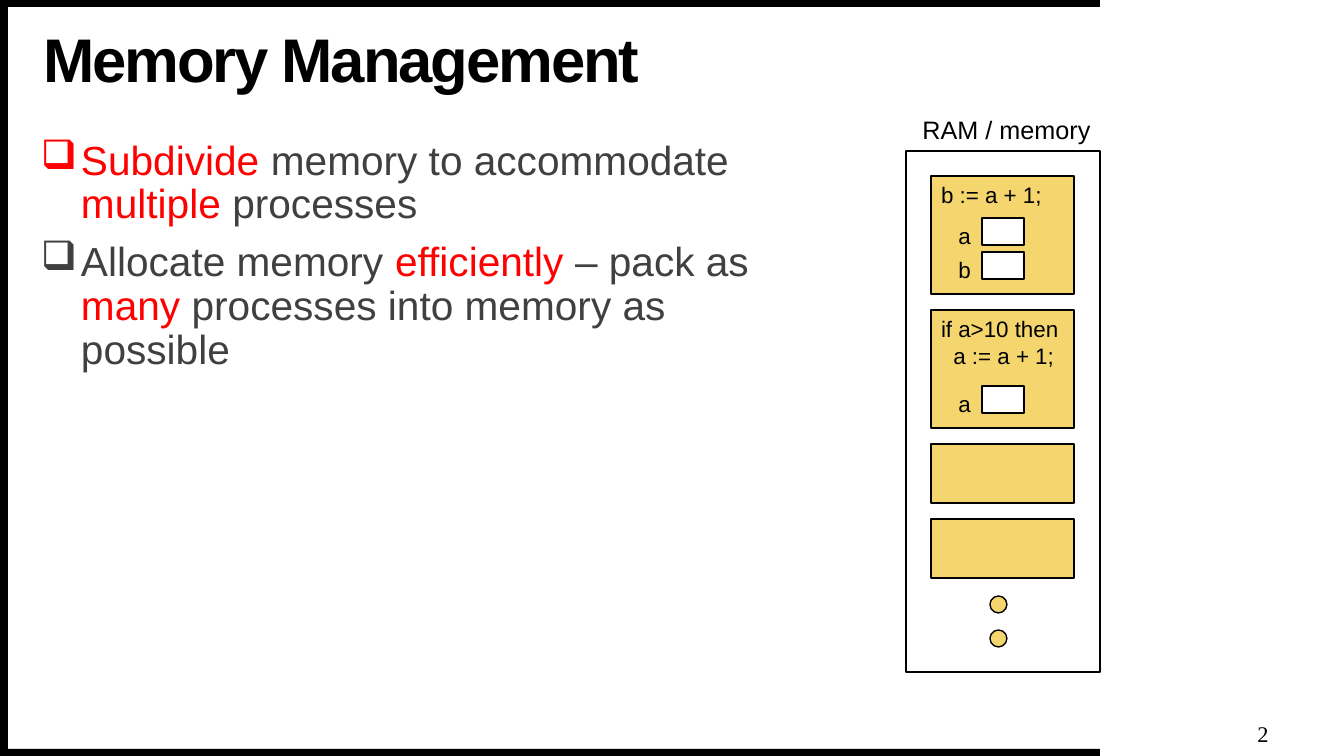
from lxml import etree
from pptx import Presentation
from pptx.dml.color import RGBColor
from pptx.enum.shapes import MSO_SHAPE
from pptx.enum.text import MSO_ANCHOR, PP_ALIGN
from pptx.oxml.ns import qn
from pptx.util import Pt

RECTANGLE, OVAL = MSO_SHAPE.RECTANGLE, MSO_SHAPE.OVAL
TOP, MIDDLE = MSO_ANCHOR.TOP, MSO_ANCHOR.MIDDLE
LEFT, CENTER = PP_ALIGN.LEFT, PP_ALIGN.CENTER

BLACK = RGBColor(0x00, 0x00, 0x00)
WHITE = RGBColor(0xFF, 0xFF, 0xFF)
RED = RGBColor(0xFF, 0x00, 0x00)
GRAY = RGBColor(0x40, 0x40, 0x40)
SAND = RGBColor(0xF5, 0xD6, 0x6E)

TITLE = "Memory Management"
BULLETS = [
    [("Subdivide", RED), (" memory to accommodate ", GRAY),
     ("multiple", RED), (" processes", GRAY)],
    [("Allocate memory ", GRAY), ("efficiently", RED), (" – pack as ", GRAY),
     ("many", RED), (" processes into memory as possible", GRAY)],
]
MEMORY_LABEL = "RAM / memory"
PAGE_NUMBER = "2"
# height, code lines, variables as (name, offset from the top of the process)
PROCESSES = [
    (118, ["b := a + 1;"], [("a", 42), ("b", 76)]),
    (118, ["if a>10 then", "  a := a + 1;"], [("a", 76)]),
    (59, [], []),
    (59, [], []),
]
FRAME_BARS = [(0, 749, 1100, 7), (0, 0, 1100, 7), (0, 4, 8, 752)]

EMU_PER_PX = 914400 / 100.8
PROCESS_LEFT, PROCESS_TOP, PROCESS_WIDTH, PROCESS_GAP = 931, 176, 143, 16
CELL_LEFT, CELL_WIDTH, CELL_HEIGHT = 982, 42, 27
NAME_LEFT, NAME_WIDTH, NAME_DROP = 948, 33, 4
DOT_LEFT, DOT_TOP, DOT_SIZE, DOT_STEP = 990, 596, 17, 34
BULLET_INDENT = 40


def px(length):
    return round(length * EMU_PER_PX)


def add_block(slide, area, fill, kind=RECTANGLE, outlined=True):
    block = slide.shapes.add_shape(kind, *map(px, area))
    block.shadow.inherit = False
    block.fill.solid()
    block.fill.fore_color.rgb = fill
    if outlined:
        block.line.color.rgb = BLACK
        block.line.width = Pt(1)
    else:
        block.line.fill.background()
    return block


def write(shape, lines, size, align=LEFT, anchor=MIDDLE, inset=(0, 0), font="Arial"):
    """Fill a shape with black lines; inset is horizontal, vertical in px."""
    frame = shape.text_frame
    frame.word_wrap = True
    frame.vertical_anchor = anchor
    frame.margin_left = frame.margin_right = px(inset[0])
    frame.margin_top = frame.margin_bottom = px(inset[1])
    frame.text = "\n".join(lines)
    for para in frame.paragraphs:
        para.alignment = align
        para.font.name = font
        para.font.size = Pt(size)
        para.font.color.rgb = BLACK
    return frame


def add_text(slide, area, text, size, **style):
    box = slide.shapes.add_textbox(*map(px, area))
    return write(box, [text], size, **style)


def add_title(slide):
    para = add_text(slide, (43, 25, 1014, 75), TITLE, 44).paragraphs[0]
    para.line_spacing = 0.9
    para.font.bold = True
    para.runs[0].font._element.set("spc", "-150")


def add_bullets(slide):
    frame = slide.shapes.add_textbox(*map(px, (41, 140, 752, 516))).text_frame
    frame.word_wrap = True
    frame.margin_left = frame.margin_right = 0
    frame.margin_top = frame.margin_bottom = 0
    for index, spans in enumerate(BULLETS):
        para = frame.add_paragraph() if index else frame.paragraphs[0]
        para.line_spacing = 0.9
        if index:
            para.space_before = Pt(10)
        properties = para._p.get_or_add_pPr()
        properties.set("marL", str(px(BULLET_INDENT)))
        properties.set("indent", str(-px(BULLET_INDENT)))
        etree.SubElement(properties, qn("a:buChar")).set("char", "❑")
        para.font.name = "Arial"
        para.font.size = Pt(29)
        for text, color in spans:
            span = para.add_run()
            span.text = text
            span.font.color.rgb = color


def add_memory(slide):
    add_block(slide, (906, 151, 194, 521), WHITE)
    top = PROCESS_TOP
    for height, code, variables in PROCESSES:
        process = add_block(slide, (PROCESS_LEFT, top, PROCESS_WIDTH, height), SAND)
        if code:
            write(process, code, 16, anchor=TOP, inset=(10, 5))
        for name, offset in variables:
            cell_top = top + offset
            add_block(slide, (CELL_LEFT, cell_top, CELL_WIDTH, CELL_HEIGHT), WHITE)
            add_text(slide, (NAME_LEFT, cell_top + NAME_DROP, NAME_WIDTH, CELL_HEIGHT),
                     name, 16, align=CENTER)
        top += height + PROCESS_GAP
    for index in range(2):
        dot_top = DOT_TOP + index * DOT_STEP
        add_block(slide, (DOT_LEFT, dot_top, DOT_SIZE, DOT_SIZE), SAND, OVAL)
    add_text(slide, (914, 115, 185, 29), MEMORY_LABEL, 18, align=CENTER)


def main():
    deck = Presentation()
    deck.slide_width, deck.slide_height = px(1344), px(756)
    slide = deck.slides.add_slide(deck.slide_layouts[6])
    for bar in FRAME_BARS:
        add_block(slide, bar, BLACK, outlined=False)
    add_bullets(slide)
    add_title(slide)
    add_text(slide, (1248, 719, 30, 30), PAGE_NUMBER, 16,
             align=CENTER, font="Times New Roman")
    add_memory(slide)
    deck.save("out.pptx")


if __name__ == "__main__":
    main()
